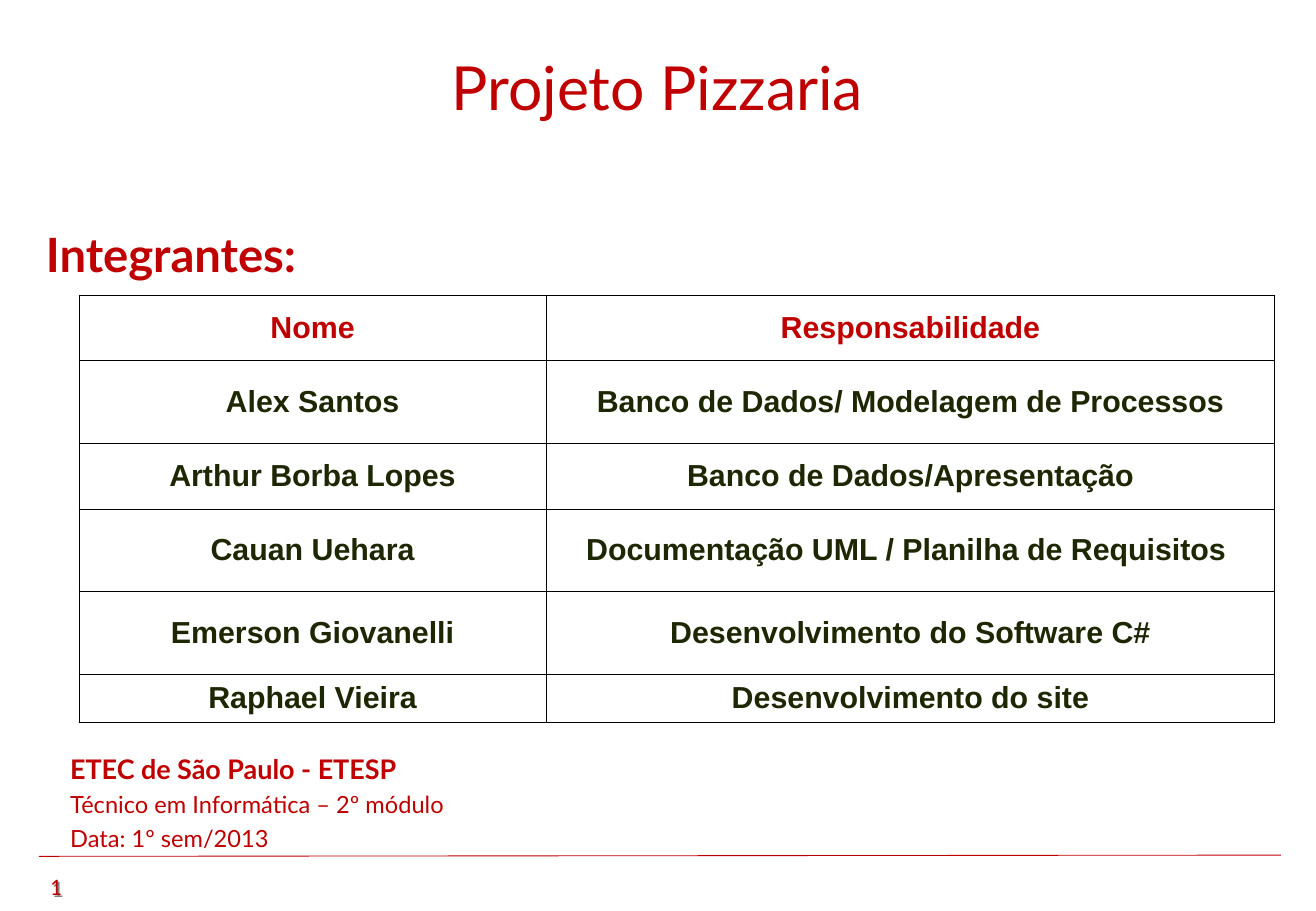
"""Build the project title slide with its team table."""
from lxml.etree import SubElement
from pptx import Presentation
from pptx.dml.color import RGBColor
from pptx.enum.shapes import MSO_CONNECTOR
from pptx.enum.text import MSO_ANCHOR, PP_ALIGN
from pptx.oxml.ns import qn
from pptx.util import Pt

PX = 9144
RED = "C00000"
DARK_GREEN = "1D2703"
BLACK = "000000"
GRAY = "808080"


def color(value):
    return RGBColor.from_string(value)


def add_text(page, bounds, lines, font_name="Lato", align=PP_ALIGN.LEFT, spacing=1.0):
    box = page.shapes.add_textbox(*[length * PX for length in bounds])
    frame = box.text_frame
    frame.word_wrap = True
    frame.text = "\n".join(text for text, size, bold in lines)
    for para, (text, size, bold) in zip(frame.paragraphs, lines):
        para.alignment = align
        para.line_spacing = spacing
        span = para.runs[0]
        span.font.name = font_name
        span.font.size = Pt(size)
        span.font.bold = bold
        span.font.color.rgb = color(RED)
    return box


deck = Presentation()
deck.slide_width = 1084 * PX
deck.slide_height = 750 * PX
page = deck.slides.add_slide(deck.slide_layouts[6])

add_text(page, (0, 36, 1083, 70), [("Projeto Pizzaria", 36, False)], align=PP_ALIGN.CENTER)
add_text(page, (28, 171, 269, 66), [("Integrantes:", 28, True)], spacing=1.2)
school_lines = [
    ("ETEC de São Paulo - ETESP", 16, True),
    ("Técnico em Informática – 2º módulo", 14, False),
    ("Data: 1º sem/2013", 14, False),
]
add_text(page, (48, 609, 377, 98), school_lines, spacing=1.2)

footer_line = page.shapes.add_connector(
    MSO_CONNECTOR.STRAIGHT, 32 * PX, 705 * PX, 1055 * PX, 704 * PX)
footer_line.line.color.rgb = color(RED)
footer_line.line.width = Pt(0.5)
SubElement(footer_line._element.spPr, qn("a:effectLst"))

number_box = add_text(page, (24, 713, 44, 34), [("1", 14, False)], "Calibri", PP_ALIGN.CENTER)
effects = SubElement(number_box._element.spPr, qn("a:effectLst"))
shadow = SubElement(effects, qn("a:outerShdw"), dist="17961", dir="2700000")
SubElement(shadow, qn("a:srgbClr"), val=GRAY)

team = [
    ("Nome", "Responsabilidade"),
    ("Alex Santos", "Banco de Dados/ Modelagem de Processos"),
    ("Arthur Borba Lopes", "Banco de Dados/Apresentação"),
    ("Cauan Uehara", "Documentação UML / Planilha de Requisitos "),
    ("Emerson Giovanelli", "Desenvolvimento do Software C#"),
    ("Raphael Vieira", "Desenvolvimento do site"),
]
column_widths = (385, 600)
row_heights = (54, 68, 54, 68, 68, 40)
table = page.shapes.add_table(
    len(team), 2, 65 * PX, 243 * PX, sum(column_widths) * PX, sum(row_heights) * PX).table
table.first_row = False
table.horz_banding = False
for column, width in zip(table.columns, column_widths):
    column.width = width * PX
for row_index, (row, height, member) in enumerate(zip(table.rows, row_heights, team)):
    row.height = height * PX
    for cell, text in zip(row.cells, member):
        cell.text = text
        cell.vertical_anchor = MSO_ANCHOR.MIDDLE
        para = cell.text_frame.paragraphs[0]
        para.alignment = PP_ALIGN.CENTER
        span = para.runs[0]
        span.font.name = "Arial"
        span.font.size = Pt(18)
        span.font.bold = True
        span.font.color.rgb = color(DARK_GREEN if row_index else RED)
        properties = cell._tc.get_or_add_tcPr()
        for side in ("lnL", "lnR", "lnT", "lnB"):
            border = SubElement(properties, qn(f"a:{side}"), w=str(Pt(0.45)))
            border_fill = SubElement(border, qn("a:solidFill"))
            SubElement(border_fill, qn("a:srgbClr"), val=BLACK)
        cell.fill.background()

deck.save("out.pptx")
